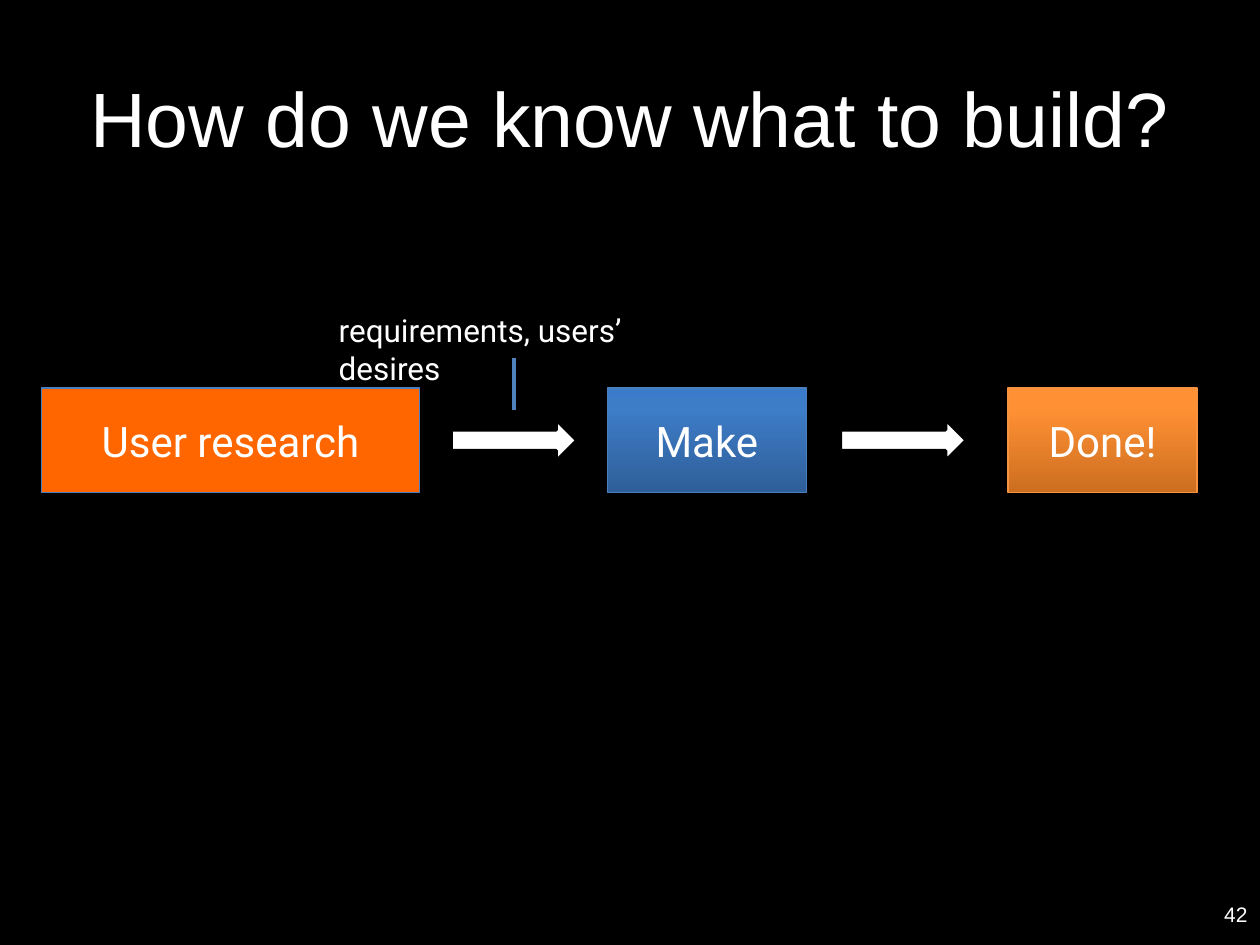
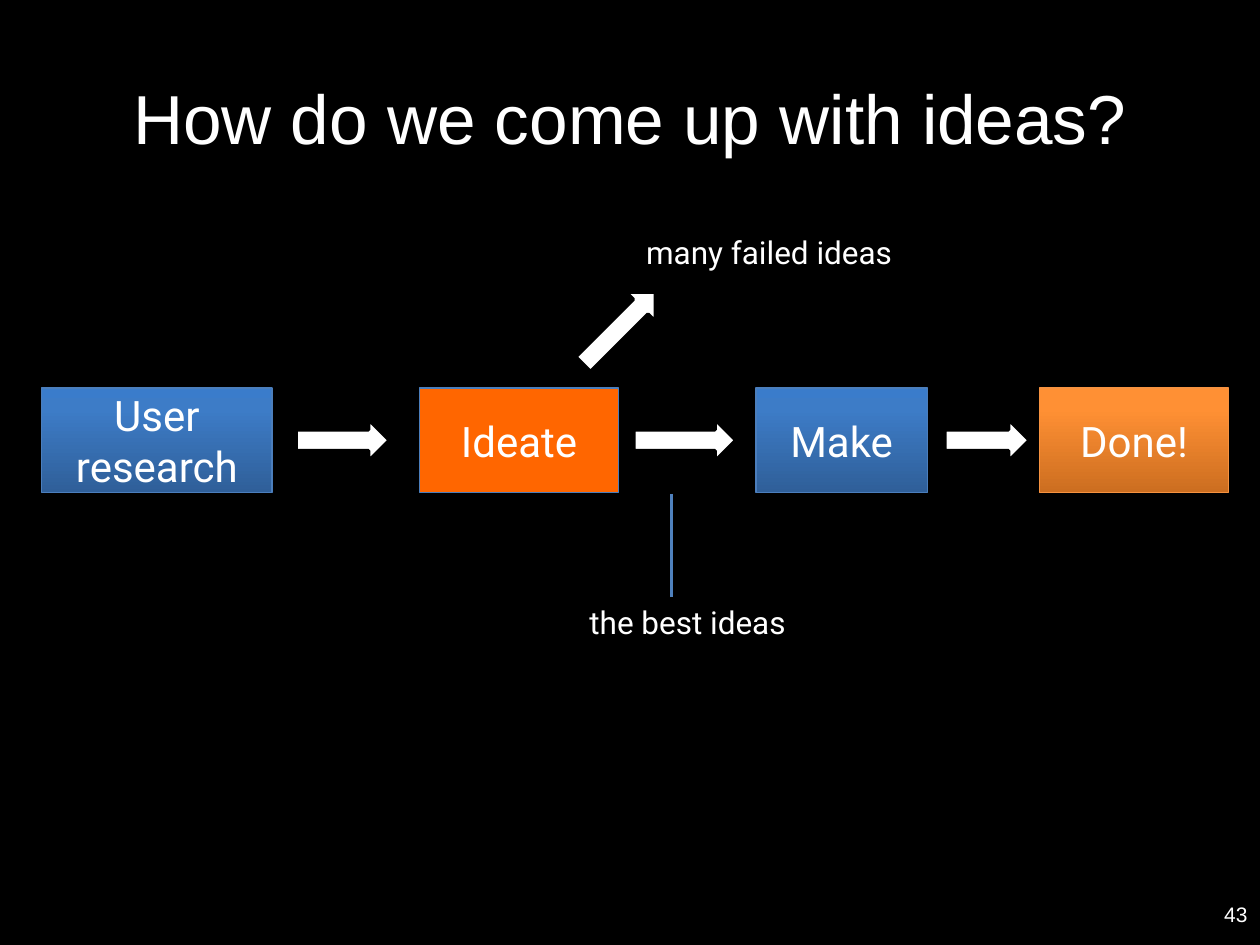
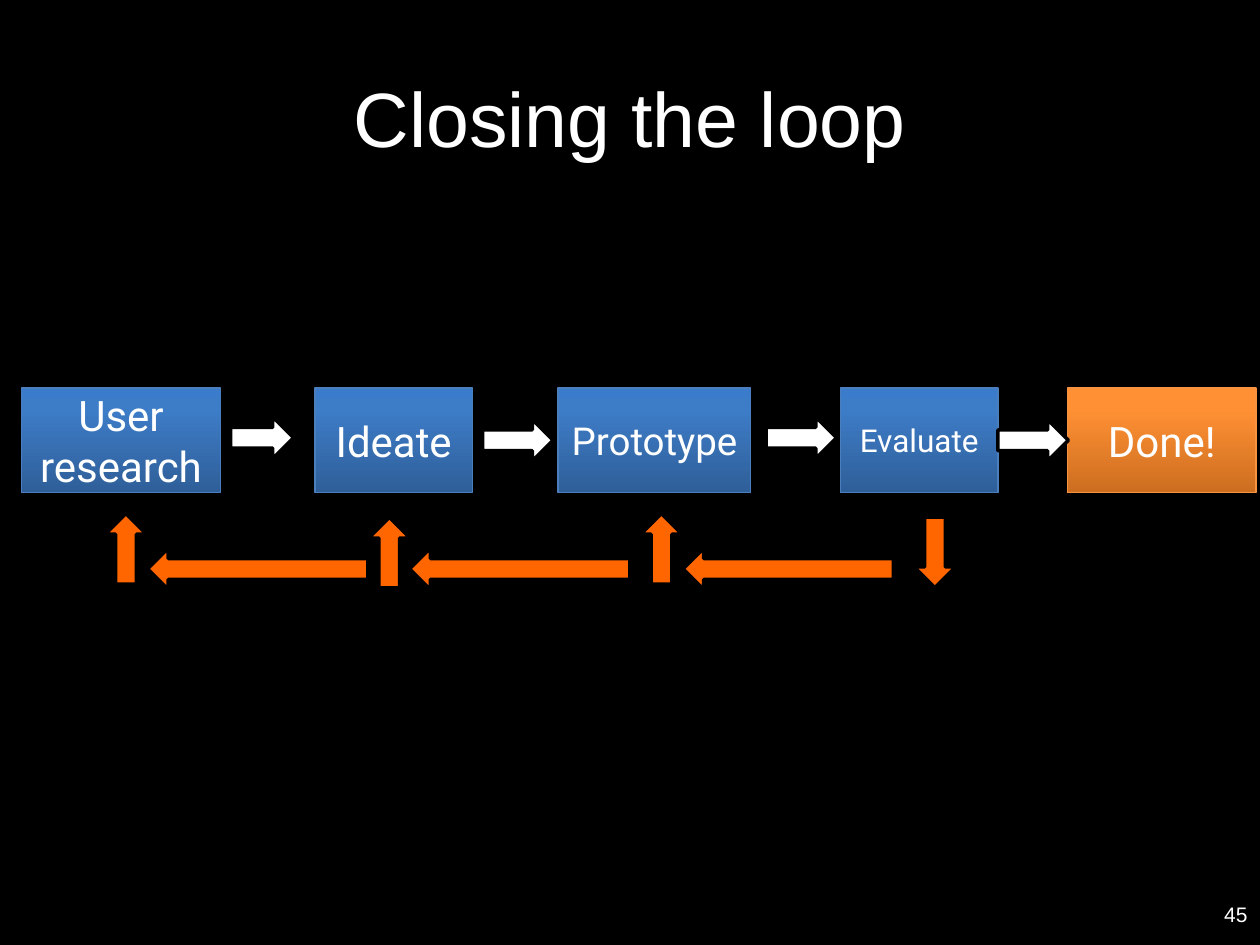
from lxml.etree import SubElement
from pptx import Presentation
from pptx.dml.color import RGBColor
from pptx.enum.shapes import MSO_CONNECTOR, MSO_SHAPE
from pptx.enum.text import MSO_ANCHOR, MSO_AUTO_SIZE, PP_ALIGN
from pptx.oxml.ns import qn
from pptx.util import Inches, Pt

COLORS = {
    "background": "000000",
    "text": "FFFFFF",
    "highlight": "FF6600",
    "step_line": "4B7EBC",
    "done_line": "F69240",
    "pointer": "4F81BD",
}
GRADIENTS = {
    "step": [(0, "2F5F99"), (80, "3D7CC7"), (100, "3A7CCB")],
    "done": [(0, "CC6E20"), (80, "FF9034"), (100, "FF9136")],
}
TITLE_FONT = "Arial"
BODY_FONT = "Roboto"
BOX_TOP, BOX_HEIGHT = 3.08, 0.83
ARROW_TOP, ARROW_HEIGHT = 3.33, 0.33
LEFT, UP, DOWN, UP_RIGHT = 180, 270, 90, 315


def rgb(name):
    return RGBColor.from_string(COLORS[name])


def write_text(shape, text, size, font=BODY_FONT, align=PP_ALIGN.CENTER, **frame):
    tf = shape.text_frame
    settings = {
        "word_wrap": True,
        "auto_size": MSO_AUTO_SIZE.NONE,
        "vertical_anchor": MSO_ANCHOR.MIDDLE,
        **frame,
    }
    for name, value in settings.items():
        setattr(tf, name, value)
    p = tf.paragraphs[0]
    p.alignment = align
    r = p.add_run()
    r.text = text
    for name, value in {"name": font, "size": Pt(size)}.items():
        setattr(r.font, name, value)
    r.font.color.rgb = rgb("text")


def fill_gradient(sp, stops):
    sp.fill.gradient()
    sp.fill.gradient_angle = 90
    gs_list = sp._element.spPr.find(qn("a:gradFill")).find(qn("a:gsLst"))
    for gs in list(gs_list):
        gs_list.remove(gs)
    for position, color in stops:
        gs = SubElement(gs_list, qn("a:gs"), pos=str(position * 1000))
        SubElement(gs, qn("a:srgbClr"), val=color)


def add_preset(s, preset, x, y, w, h, line, line_width):
    sp = s.shapes.add_shape(preset, Inches(x), Inches(y), Inches(w), Inches(h))
    sp.shadow.inherit = False
    sp.line.color.rgb = rgb(line)
    sp.line.width = Pt(line_width)
    return sp


def add_box(s, text, x, w, style="step", size=24):
    line = "done_line" if style == "done" else "step_line"
    sp = add_preset(s, MSO_SHAPE.RECTANGLE, x, BOX_TOP, w, BOX_HEIGHT, line, 0.75)
    if style in GRADIENTS:
        fill_gradient(sp, GRADIENTS[style])
    else:
        sp.fill.solid()
        sp.fill.fore_color.rgb = rgb(style)
    write_text(sp, text, size)


def add_arrow(s, x, w, y=ARROW_TOP, rotation=0, color="text"):
    sp = add_preset(s, MSO_SHAPE.RIGHT_ARROW, x, y, w, ARROW_HEIGHT, "background", 2)
    sp.fill.solid()
    sp.fill.fore_color.rgb = rgb(color)
    sp.rotation = rotation


def add_label(s, text, x, y, w):
    box = s.shapes.add_textbox(Inches(x), Inches(y), Inches(w), Inches(0.4))
    write_text(box, text, 18, align=PP_ALIGN.LEFT, word_wrap=False,
               auto_size=MSO_AUTO_SIZE.SHAPE_TO_FIT_TEXT,
               vertical_anchor=MSO_ANCHOR.TOP)


def add_pointer(s, x, top, bottom):
    line = s.shapes.add_connector(MSO_CONNECTOR.STRAIGHT, Inches(x), Inches(top),
                                  Inches(x), Inches(bottom))
    line.line.color.rgb = rgb("pointer")
    line.line.width = Pt(2)
    SubElement(line._element.spPr, qn("a:effectLst"))


def add_slide(prs, title, number, title_size=44):
    s = prs.slides.add_slide(prs.slide_layouts[5])
    place = {"left": 0.5, "top": 0.3, "width": 9, "height": 1.25}
    for name, value in place.items():
        setattr(s.shapes.title, name, Inches(value))
    write_text(s.shapes.title, title, title_size, TITLE_FONT)
    box = s.shapes.add_textbox(Inches(9.58), Inches(7.08), Inches(0.42), Inches(0.35))
    write_text(box, str(number), 12, TITLE_FONT, PP_ALIGN.RIGHT)
    return s


def build_research(prs):
    s = add_slide(prs, "How do we know what to build?", 42)
    add_box(s, "User research", 0.33, 3, "highlight")
    add_box(s, "Make", 4.82, 1.58)
    add_box(s, "Done!", 8, 1.5, "done")
    for x in (3.58, 6.67):
        add_arrow(s, x, 1)
    add_label(s, "requirements, users’ desires", 2.59, 2.42, 3.3)
    add_pointer(s, 4.08, 2.84, 3.25)


def build_ideas(prs):
    s = add_slide(prs, "How do we come up with ideas?", 43, 39.6)
    add_box(s, "User research", 0.33, 1.83)
    add_box(s, "Ideate", 3.33, 1.58, "highlight")
    add_box(s, "Make", 6, 1.36)
    add_box(s, "Done!", 8.25, 1.5, "done")
    for x, w in ((2.35, 0.74), (5.03, 0.81), (7.5, 0.67)):
        add_arrow(s, x, w)
    add_arrow(s, 4.51, 0.81, 2.44, UP_RIGHT)
    add_label(s, "many failed ideas", 5.03, 1.8, 2.17)
    add_label(s, "the best ideas", 4.58, 4.74, 1.77)
    add_pointer(s, 5.33, 3.92, 4.74)


def build_loop(prs):
    s = add_slide(prs, "Closing the loop", 45)
    add_box(s, "User research", 0.17, 1.58)
    add_box(s, "Ideate", 2.5, 1.25)
    add_box(s, "Prototype", 4.43, 1.53, size=22)
    add_box(s, "Evaluate", 6.67, 1.25, size=18)
    add_box(s, "Done!", 8.47, 1.5, "done")
    for x, w, y in ((1.83, 0.5, 3.31), (3.83, 0.56, ARROW_TOP),
                    (6.08, 0.56, 3.31), (7.92, 0.56, ARROW_TOP)):
        add_arrow(s, x, w, y)
    for x, w in ((1.17, 1.75), (3.25, 1.75), (5.42, 1.67)):
        add_arrow(s, x, w, 4.35, LEFT, "highlight")
    for x, y, rotation in ((0.72, 4.19, UP), (2.81, 4.22, UP),
                           (4.97, 4.19, UP), (7.14, 4.22, DOWN)):
        add_arrow(s, x, 0.56, y, rotation, "highlight")


def main():
    prs = Presentation()
    prs.slide_width, prs.slide_height = Inches(10), Inches(7.5)
    background = prs.slide_master.background.fill
    background.solid()
    background.fore_color.rgb = rgb("background")
    for build in (build_research, build_ideas, build_loop):
        build(prs)
    prs.save("out.pptx")


if __name__ == "__main__":
    main()
